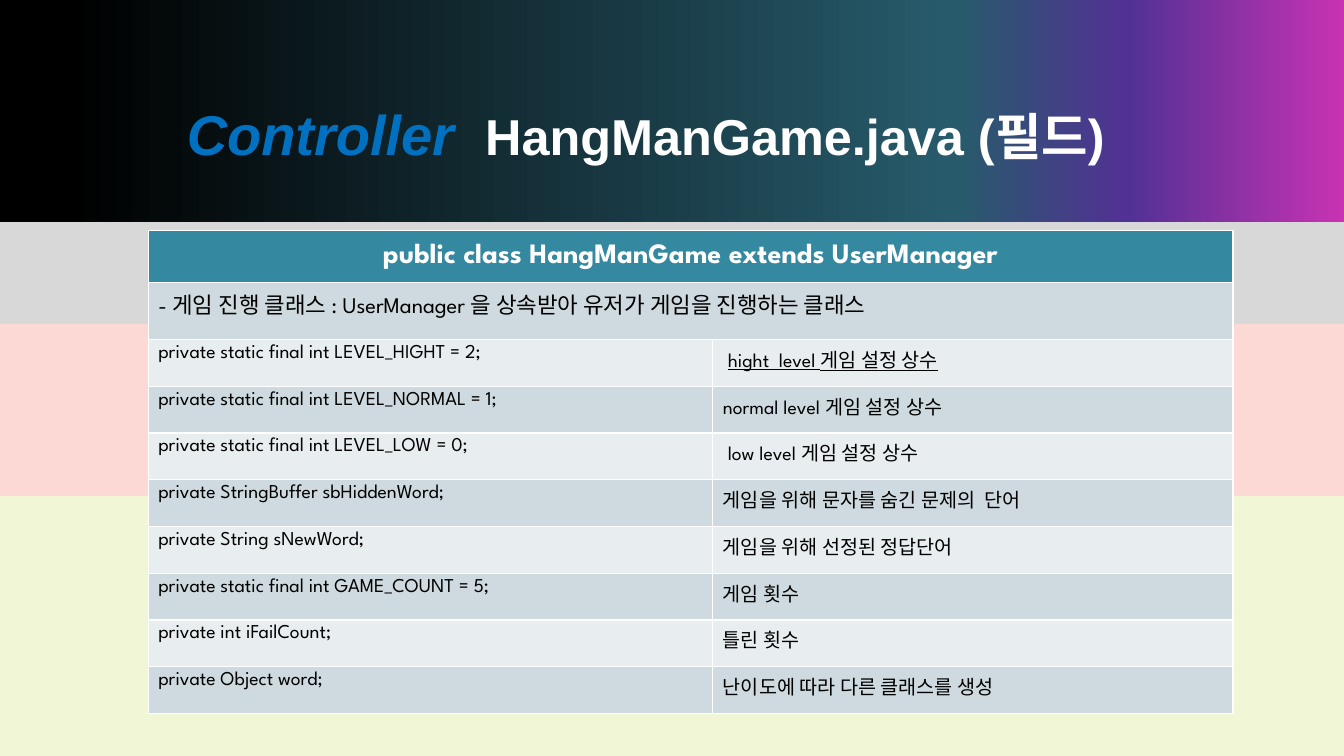
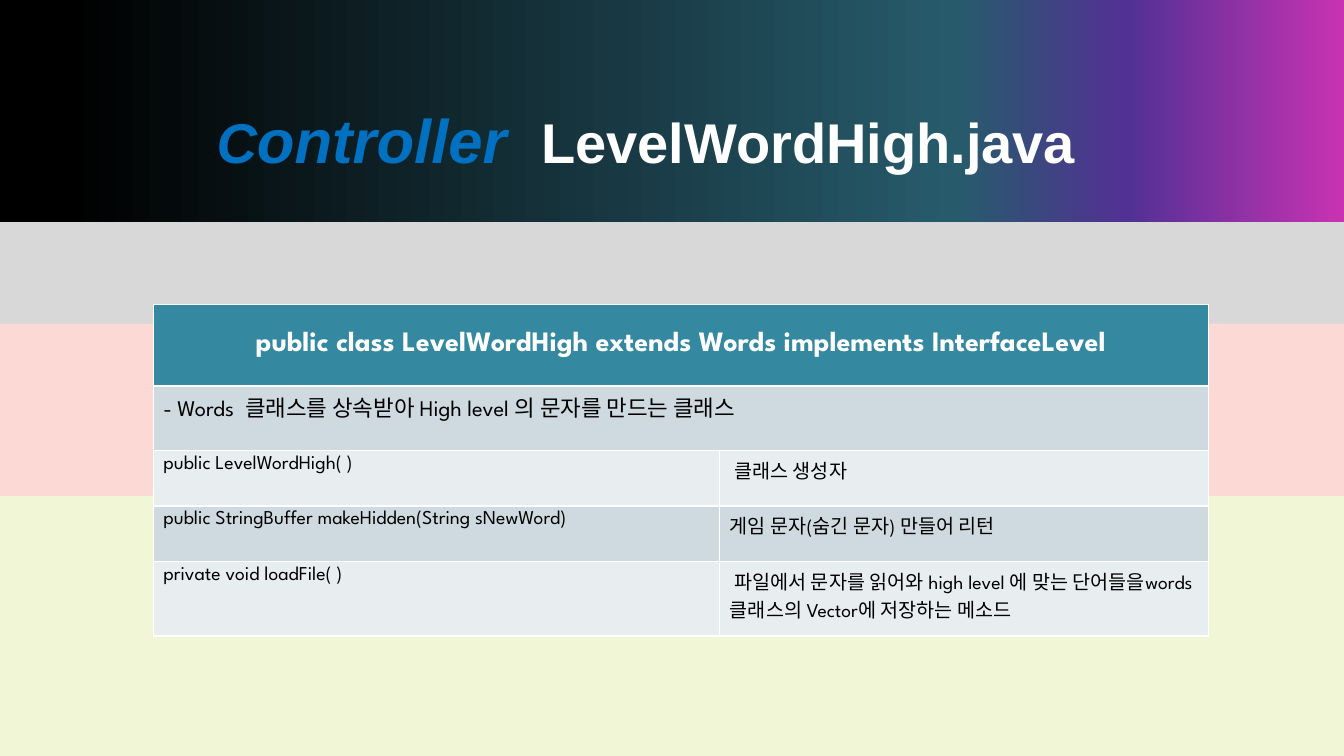
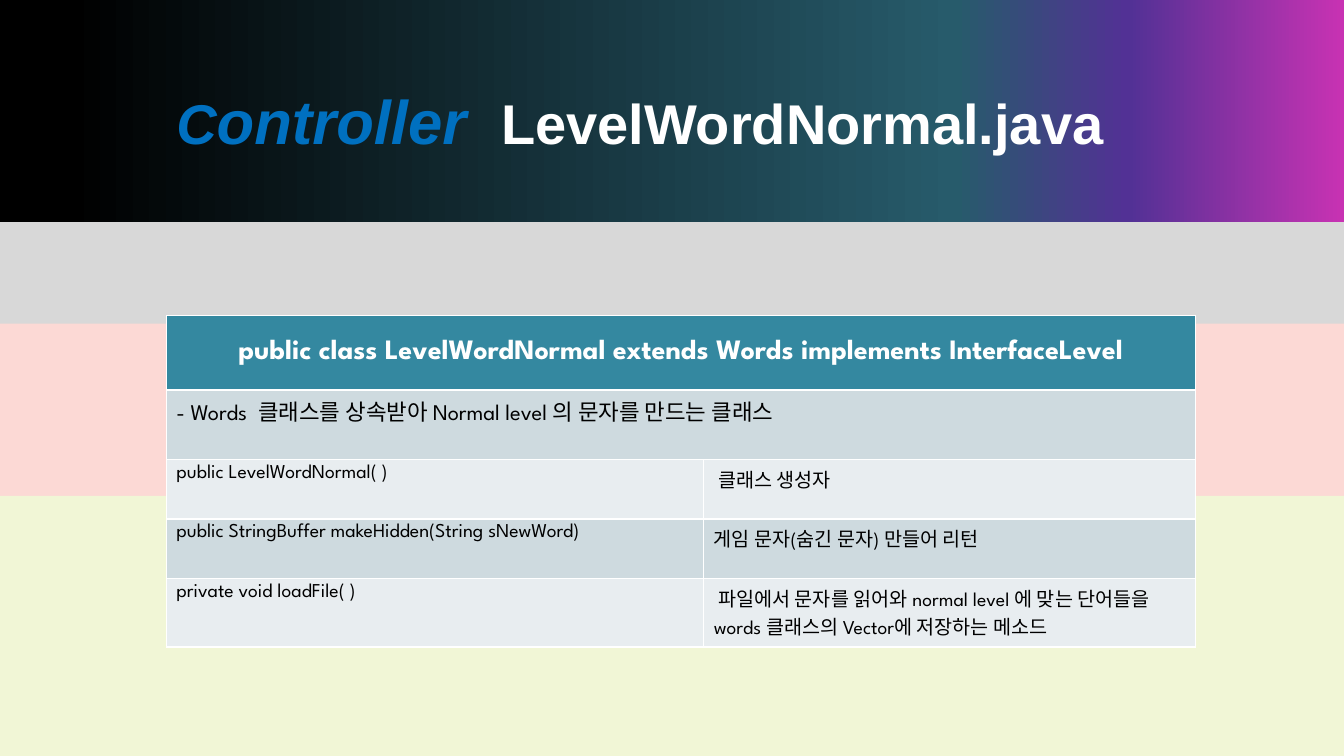
from lxml.etree import SubElement
from pptx import Presentation
from pptx.dml.color import RGBColor
from pptx.enum.shapes import MSO_SHAPE
from pptx.enum.text import MSO_ANCHOR, PP_ALIGN
from pptx.oxml.ns import qn
from pptx.util import Inches, Pt

WIDTH, HEIGHT = 13.33, 7.5
TITLE_FONT, TABLE_FONT = "Arial", "League Spartan"
BLUE, WHITE, BLACK, GREY = "0070C0", "FFFFFF", "000000", "BFBFBF"
TEAL, BAND_DARK, BAND_LIGHT = "3488A0", "CEDADF", "E8EDF0"
HEADER_STOPS = [(0, "C832B3"), (16, "523195"), (29, "275B6B"), (95, "000000")]
BANDS = [(3.21, 1.71, "FCD9D5"), (4.92, 2.58, "F1F6D6")]

FIELDS = [
    ("private static final int LEVEL_HIGHT = 2;", (" ", "hight  level 게임 설정 상수")),
    ("private static final int LEVEL_NORMAL = 1;", ("normal level 게임 설정 상수",)),
    ("private static final int LEVEL_LOW = 0;", (" low level 게임 설정 상수",)),
    ("private StringBuffer sbHiddenWord;", ("게임을 위해 문자를 숨긴 문제의  단어",)),
    ("private String sNewWord;", ("게임을 위해 선정된 정답단어",)),
    ("private static final int GAME_COUNT = 5;", ("게임 횟수",)),
    ("private int iFailCount;", ("틀린 횟수",)),
    ("private Object word;", ("난이도에 따라 다른 클래스를 생성",)),
]


def level_slide(level, **layout):
    name = f"LevelWord{level}"
    return dict(
        title=[("C", 40, BLUE), ("ontroller  ", 44, BLUE), (f"{name}.java", 40, WHITE)],
        header=f"public class {name} extends Words implements InterfaceLevel",
        summary=f"- Words  클래스를 상속받아 {level if level != 'High' else 'High'} level 의 문자를 만드는 클래스",
        members=[
            (f"public {name}( )", (" 클래스 생성자",)),
            ("public StringBuffer makeHidden(String sNewWord)", ("게임 문자(숨긴 문자) 만들어 리턴",)),
            ("private void loadFile( )",
             (f" 파일에서 문자를 읽어와 {level.lower()} level 에 맞는 단어들을words 클래스의 Vector에 저장하는 메소드",)),
        ],
        **layout,
    )


SLIDES = [
    dict(
        title=[(" ", 40, BLUE), ("Controller  ", 40, BLUE), ("HangManGame.java (필드)", 36, WHITE)],
        header="public class HangManGame extends UserManager",
        summary="- 게임 진행 클래스 : UserManager 을 상속받아 유저가 게임을 진행하는 클래스",
        members=FIELDS,
        title_box=(1.6, 0.61, 10.11), table_at=(1.47, 2.29), cols=[5.6, 5.16],
        rows=[0.51, 0.57] + [3.71 / len(FIELDS)] * len(FIELDS),
    ),
    level_slide("High", title_box=(2.05, 0.67, 9.66), table_at=(1.52, 3.02),
                cols=[5.62, 4.85], rows=[0.81, 0.64, 0.55, 0.55, 0.74]),
    level_slide("Normal", title_box=(1.65, 0.49, 9.95), table_at=(1.65, 3.13),
                cols=[5.33, 4.88], rows=[0.74, 0.69, 0.59, 0.59, 0.68]),
]


def rgb(value):
    return RGBColor.from_string(value)


def add_band(s, top, height, color):
    band = s.shapes.add_shape(MSO_SHAPE.RECTANGLE, 0, Inches(top), Inches(WIDTH), Inches(height))
    band.shadow.inherit = False
    band.line.fill.background()
    band.fill.solid()
    band.fill.fore_color.rgb = rgb(color)
    return band


def add_background(s):
    grey = add_band(s, 0.12, HEIGHT - 0.12, GREY)
    color = next(grey._element.spPr.iter(qn("a:srgbClr")))
    SubElement(color, qn("a:alpha"), val="60000")

    header = add_band(s, 0, 2.2, BLACK)
    header.fill.gradient()
    header.fill.gradient_angle = 180
    stops = next(header._element.spPr.iter(qn("a:gsLst")))
    for stop in list(stops):
        stops.remove(stop)
    for pos, value in HEADER_STOPS:
        stop = SubElement(stops, qn("a:gs"), pos=str(pos * 1000))
        SubElement(stop, qn("a:srgbClr"), val=value)

    for band in BANDS:
        add_band(s, *band)


def add_title(s, runs, box):
    left, top, width = box
    tf = s.shapes.add_textbox(Inches(left), Inches(top), Inches(width), Inches(1.5)).text_frame
    tf.word_wrap = True
    tf.vertical_anchor = MSO_ANCHOR.MIDDLE
    p = tf.paragraphs[0]
    p.line_spacing = 0.9
    p.font.name = TITLE_FONT
    p.font.bold = True
    for text, size, color in runs:
        r = p.add_run()
        r.text = text
        r.font.size = Pt(size)
        r.font.color.rgb = rgb(color)
        r.font.italic = color == BLUE


def fill_cell(cell, runs, fill, size=14, color=BLACK, bold=False):
    cell.fill.solid()
    cell.fill.fore_color.rgb = rgb(fill)
    p = cell.text_frame.paragraphs[0]
    p.font.name = TABLE_FONT
    p.font.size = Pt(size)
    p.font.bold = bold
    p.font.color.rgb = rgb(color)
    for i, text in enumerate(runs):
        r = p.add_run()
        r.text = text
        if i:
            r.font.underline = True
    return p


def add_class_table(s, spec_):
    cols, rows = spec_["cols"], spec_["rows"]
    left, top = spec_["table_at"]
    table = s.shapes.add_table(len(rows), len(cols), Inches(left), Inches(top),
                               Inches(sum(cols)), Inches(sum(rows))).table
    for column, width in zip(table.columns, cols):
        column.width = Inches(width)
    for row, height in zip(table.rows, rows):
        row.height = Inches(height)
    for i in range(2):
        table.cell(i, 0).merge(table.cell(i, 1))

    header = table.cell(0, 0)
    fill_cell(header, [spec_["header"]], TEAL, 20, WHITE, True).alignment = PP_ALIGN.CENTER
    header.vertical_anchor = MSO_ANCHOR.MIDDLE
    fill_cell(table.cell(1, 0), [spec_["summary"]], BAND_DARK, 16)
    for i, (code, meaning) in enumerate(spec_["members"], 2):
        fill = BAND_DARK if i % 2 else BAND_LIGHT
        fill_cell(table.cell(i, 0), [code], fill)
        fill_cell(table.cell(i, 1), meaning, fill)


def main():
    prs = Presentation()
    prs.slide_width, prs.slide_height = Inches(WIDTH), Inches(HEIGHT)
    for content in SLIDES:
        s = prs.slides.add_slide(prs.slide_layouts[6])
        add_background(s)
        add_title(s, content["title"], content["title_box"])
        add_class_table(s, content)
    prs.save("out.pptx")


if __name__ == "__main__":
    main()
